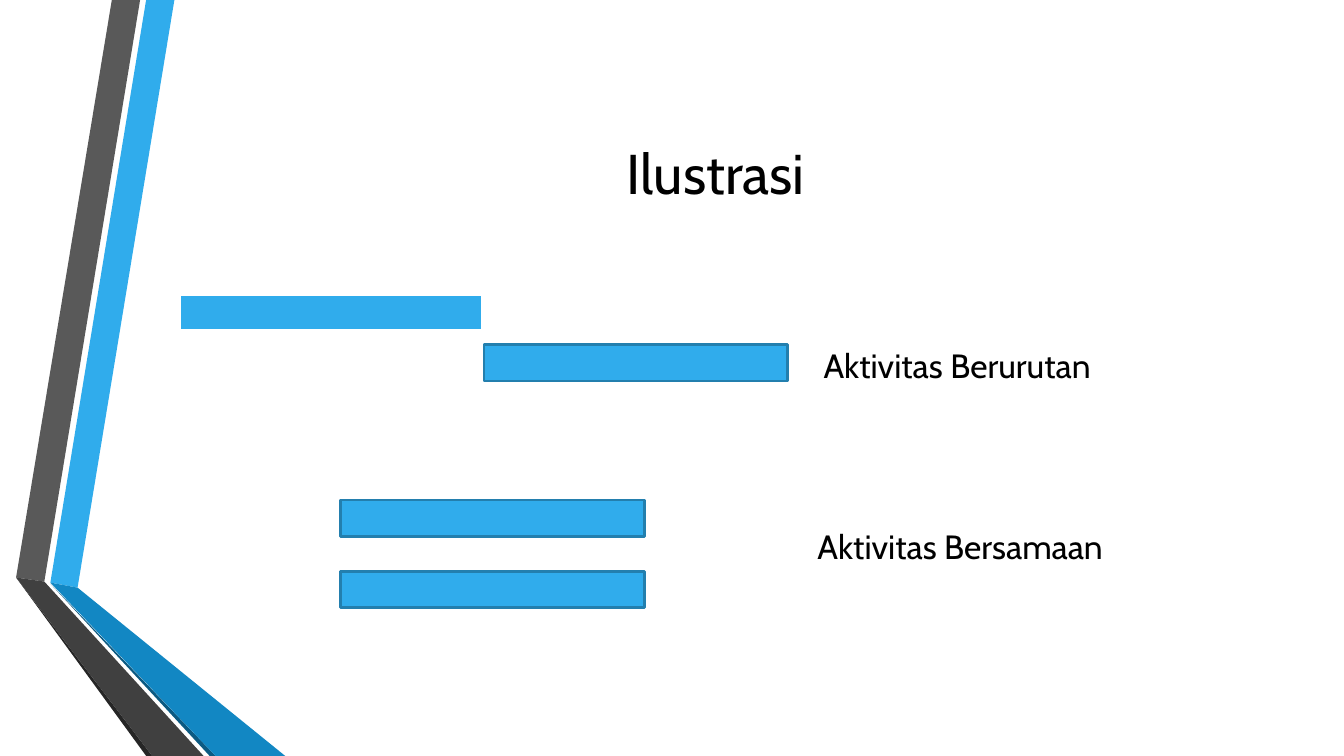
from dataclasses import dataclass
from pptx import Presentation
from pptx.dml.color import RGBColor
from pptx.enum.shapes import MSO_SHAPE
from pptx.enum.text import MSO_ANCHOR, PP_ALIGN
from pptx.util import Inches, Pt


@dataclass(frozen=True)
class Theme:
    font: str = "Cabin"
    ink: str = "000000"
    blue: str = "30ACEC"
    edge: str = "237FAE"
    white: str = "FFFFFF"
    gray: str = "595959"
    coal: str = "404040"
    dark: str = "262626"
    deep: str = "1287C3"
    navy: str = "0C5A82"
    head: int = 40
    body: int = 24
    rule: int = 2


class Deck:
    def __init__(self, theme, wide, high):
        self.theme = theme
        self.show = Presentation()
        self.show.slide_width = Inches(wide)
        self.show.slide_height = Inches(high)
        self.slide = self.show.slides.add_slide(self.show.slide_layouts[5])

    def paint(self, shape, color):
        shape.shadow.inherit = False
        shape.fill.solid()
        shape.fill.fore_color.rgb = RGBColor.from_string(color)

    def letter(self, shape, text, size, align, anchor):
        frame = shape.text_frame
        frame.word_wrap = True
        frame.vertical_anchor = anchor
        para = frame.paragraphs[0]
        para.text = text
        para.alignment = align
        style = {"name": self.theme.font, "size": Pt(size), "bold": False}
        for key, value in style.items():
            setattr(para.font, key, value)
        para.font.color.rgb = RGBColor.from_string(self.theme.ink)

    def title(self, text, left, top, width, height):
        shape = self.slide.shapes.title
        place = {"left": left, "top": top, "width": width, "height": height}
        for key, value in place.items():
            setattr(shape, key, Inches(value))
        self.letter(shape, text, self.theme.head, PP_ALIGN.CENTER, MSO_ANCHOR.MIDDLE)

    def label(self, text, *box):
        shape = self.slide.shapes.add_textbox(*map(Inches, box))
        self.letter(shape, text, self.theme.body, PP_ALIGN.LEFT, MSO_ANCHOR.TOP)

    def bar(self, left, top, edge):
        box = map(Inches, (left, top, 3.01, 0.36))
        shape = self.slide.shapes.add_shape(MSO_SHAPE.RECTANGLE, *box)
        self.paint(shape, self.theme.blue)
        shape.line.color.rgb = RGBColor.from_string(edge)
        shape.line.width = Pt(self.theme.rule)

    def band(self, color, *points):
        first, *rest = [(Inches(x), Inches(y)) for x, y in points]
        pen = self.slide.shapes.build_freeform(*first)
        pen.add_line_segments(rest, close=True)
        shape = pen.convert_to_shape()
        self.paint(shape, color)
        shape.line.fill.background()


def main():
    theme = Theme()
    deck = Deck(theme, 13.33, 7.5)

    # Folded ribbons at the left edge
    deck.band(theme.blue, (0.5, 5.78), (0.77, 5.83), (1.73, 0), (1.45, 0))
    deck.band(theme.gray, (1.39, 0), (1.11, 0), (0.16, 5.73), (0.44, 5.77))
    deck.band(theme.dark, (0.16, 5.73), (1.45, 7.5), (1.51, 7.5))
    deck.band(theme.navy, (0.5, 5.79), (2.08, 7.5), (2.14, 7.5))
    deck.band(theme.deep, (0.5, 5.78), (2.14, 7.5), (2.83, 7.5), (0.77, 5.83))
    deck.band(theme.coal, (0.16, 5.73), (1.51, 7.5), (2.02, 7.5), (0.44, 5.77))

    # Title
    deck.title("Ilustrasi", 1.62, 0.75, 10.96, 1.92)

    # Activities one after the other
    deck.bar(1.78, 2.92, theme.white)
    deck.bar(4.8, 3.42, theme.edge)
    deck.label("Aktivitas Berurutan", 8.07, 3.37, 3, 0.5)

    # Activities at the same time
    for top in (4.96, 5.67):
        deck.bar(3.38, top, theme.edge)
    deck.label("Aktivitas Bersamaan", 8.01, 5.17, 3.13, 0.9)

    deck.show.save("out.pptx")


if __name__ == "__main__":
    main()
